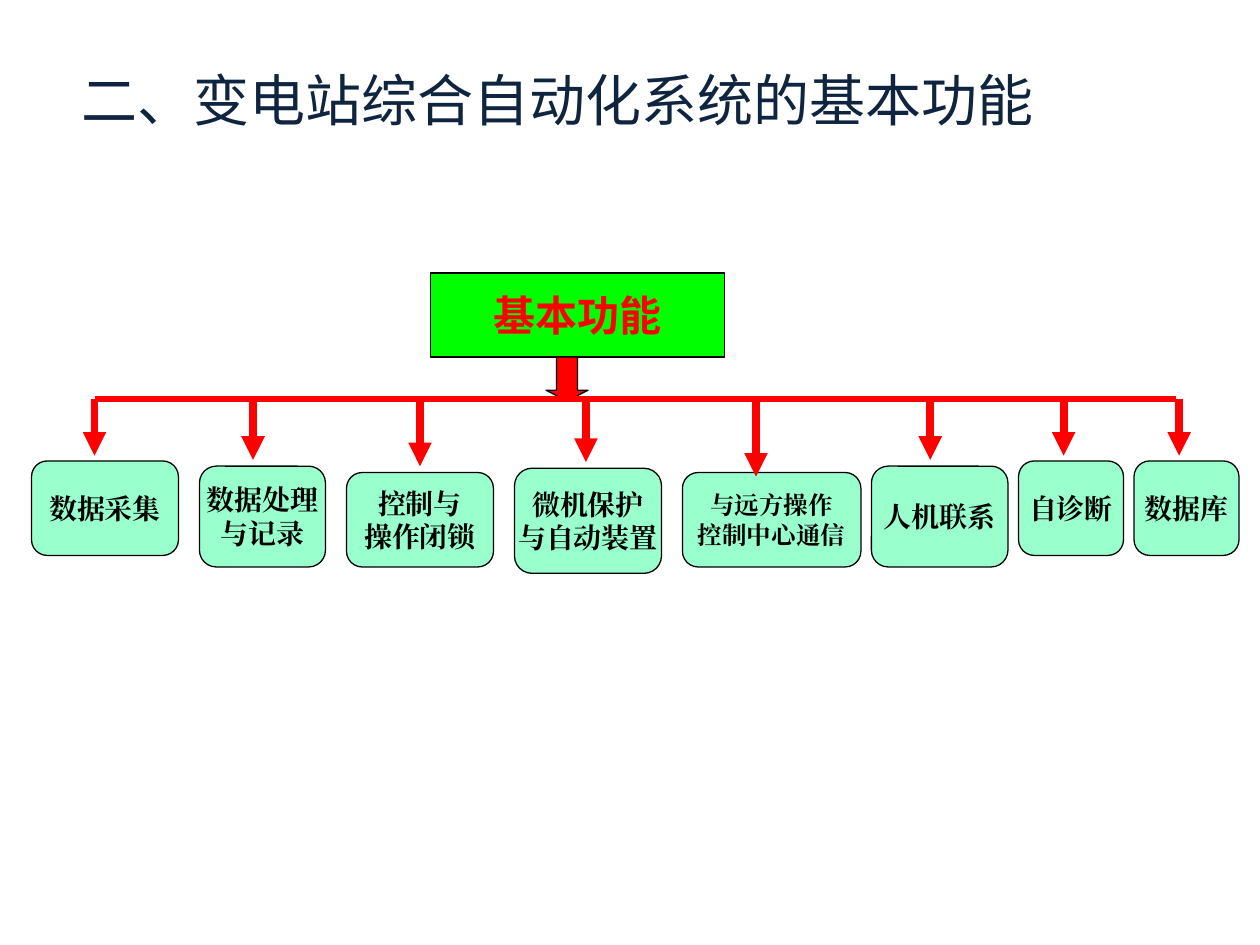
from typing import NamedTuple

from lxml import etree
from pptx import Presentation
from pptx import util as u
from pptx.dml.color import RGBColor
from pptx.enum import shapes, text
from pptx.oxml.ns import qn

# The grid has 120 columns and 90 rows, each a twelfth of an inch
COLUMNS, ROWS = 120, 90
SLIDE_WIDTH, SLIDE_HEIGHT = u.Inches(10), u.Inches(7.5)
BUS_ROW = 38

COLORS = {
    "title": "0F243E",
    "root": "00FF00",
    "arrow": "FF0000",
    "branch": "99FFCC",
    "ink": "000000",
}


class Area(NamedTuple):
    column: float
    row: float
    width: float
    height: float


class Style(NamedTuple):
    size: float
    font: str
    color: str
    bold: bool = True


class Branch(NamedTuple):
    lines: tuple[str, ...]
    area: Area
    arrow_column: float
    tip_row: float
    size: float = 16


BRANCHES = [
    Branch(("数据采集",), Area(3, 43.9, 14, 9), 9, 43.4),
    Branch(("数据处理", "与记录"), Area(19, 44.4, 12, 9.6), 24.1, 43.8),
    Branch(("控制与", "操作闭锁"), Area(33, 45, 14, 9), 40, 44.4),
    Branch(("微机保护", "与自动装置"), Area(49, 44.6, 14, 10), 55.8, 44),
    Branch(("与远方操作", "控制中心通信"), Area(65, 45, 17, 9), 72, 45.4, 14),
    Branch(("人机联系",), Area(83, 44.4, 13, 9.6), 88.6, 43.8),
    Branch(("自诊断",), Area(97, 43.9, 10, 9), 101.3, 43.4),
    Branch(("数据库",), Area(108, 43.9, 10, 9), 112.3, 43.4),
]


def across(columns: float) -> int:
    return round(SLIDE_WIDTH * columns / COLUMNS)


def down(rows: float) -> int:
    return round(SLIDE_HEIGHT * rows / ROWS)


def place(area: Area) -> tuple[int, int, int, int]:
    return across(area.column), down(area.row), across(area.width), down(area.height)


def color(name: str) -> RGBColor:
    return RGBColor.from_string(COLORS[name])


def write(shape, lines: tuple[str, ...], style: Style, align, wrap: bool) -> None:
    frame = shape.text_frame
    frame.word_wrap = wrap
    frame.vertical_anchor = text.MSO_ANCHOR.MIDDLE
    font_values = {"size": u.Pt(style.size), "name": style.font, "bold": style.bold}
    for index, line in enumerate(lines):
        paragraph = frame.add_paragraph() if index else frame.paragraphs[0]
        paragraph.alignment = align
        run = paragraph.add_run()
        run.text = line
        for name, value in font_values.items():
            setattr(run.font, name, value)
        run.font.color.rgb = color(style.color)
        # East Asian text takes the same typeface
        east_asian = etree.SubElement(run.font._element, qn("a:ea"))
        east_asian.set("typeface", style.font)


def add_box(slide, kind, area: Area, fill: str):
    shape = slide.shapes.add_shape(kind, *place(area))
    shape.shadow.inherit = False
    shape.fill.solid()
    shape.fill.fore_color.rgb = color(fill)
    shape.line.color.rgb = color("ink")
    shape.line.width = u.Pt(0.75)
    return shape


def add_line(slide, start: tuple[float, float], end: tuple[float, float],
             width: float, arrow: bool = False) -> None:
    connector = slide.shapes.add_connector(
        shapes.MSO_CONNECTOR.STRAIGHT,
        across(start[0]), down(start[1]), across(end[0]), down(end[1]))
    connector.line.color.rgb = color("arrow")
    connector.line.width = u.Pt(width)
    if arrow:
        etree.SubElement(connector.line._get_or_add_ln(), qn("a:tailEnd"), type="triangle")
    etree.SubElement(connector._element.spPr, qn("a:effectLst"))


def add_branch(slide, branch: Branch) -> None:
    box = add_box(slide, shapes.MSO_SHAPE.FLOWCHART_ALTERNATE_PROCESS,
                  branch.area, "branch")
    write(box, branch.lines, Style(branch.size, "Times New Roman", "ink"),
          text.PP_ALIGN.CENTER, False)
    add_line(slide, (branch.arrow_column, BUS_ROW),
             (branch.arrow_column, branch.tip_row), 4.5, arrow=True)


def main() -> None:
    presentation = Presentation()
    presentation.slide_width, presentation.slide_height = SLIDE_WIDTH, SLIDE_HEIGHT
    slide = presentation.slides.add_slide(presentation.slide_layouts[6])

    # Title
    title = slide.shapes.add_textbox(*place(Area(6.6, 1.9, 108, 15)))
    write(title, ("二、变电站综合自动化系统的基本功能",),
          Style(32, "Noto Sans CJK JP", "title", False), text.PP_ALIGN.LEFT, True)

    # Root box and the block arrow below it
    root = add_box(slide, shapes.MSO_SHAPE.FLOWCHART_PROCESS, Area(41, 26, 28, 8), "root")
    write(root, ("基本功能",), Style(24, "Noto Sans CJK KR", "arrow"),
          text.PP_ALIGN.CENTER, False)
    block_arrow = add_box(slide, shapes.MSO_SHAPE.DOWN_ARROW, Area(52, 34, 4, 4.2), "arrow")
    block_arrow.adjustments[0] = 0.5
    block_arrow.adjustments[1] = 0.26

    # Bus line and branches
    add_line(slide, (9, BUS_ROW), (112, BUS_ROW), 3)
    for branch in BRANCHES:
        add_branch(slide, branch)

    presentation.save("out.pptx")


if __name__ == "__main__":
    main()
